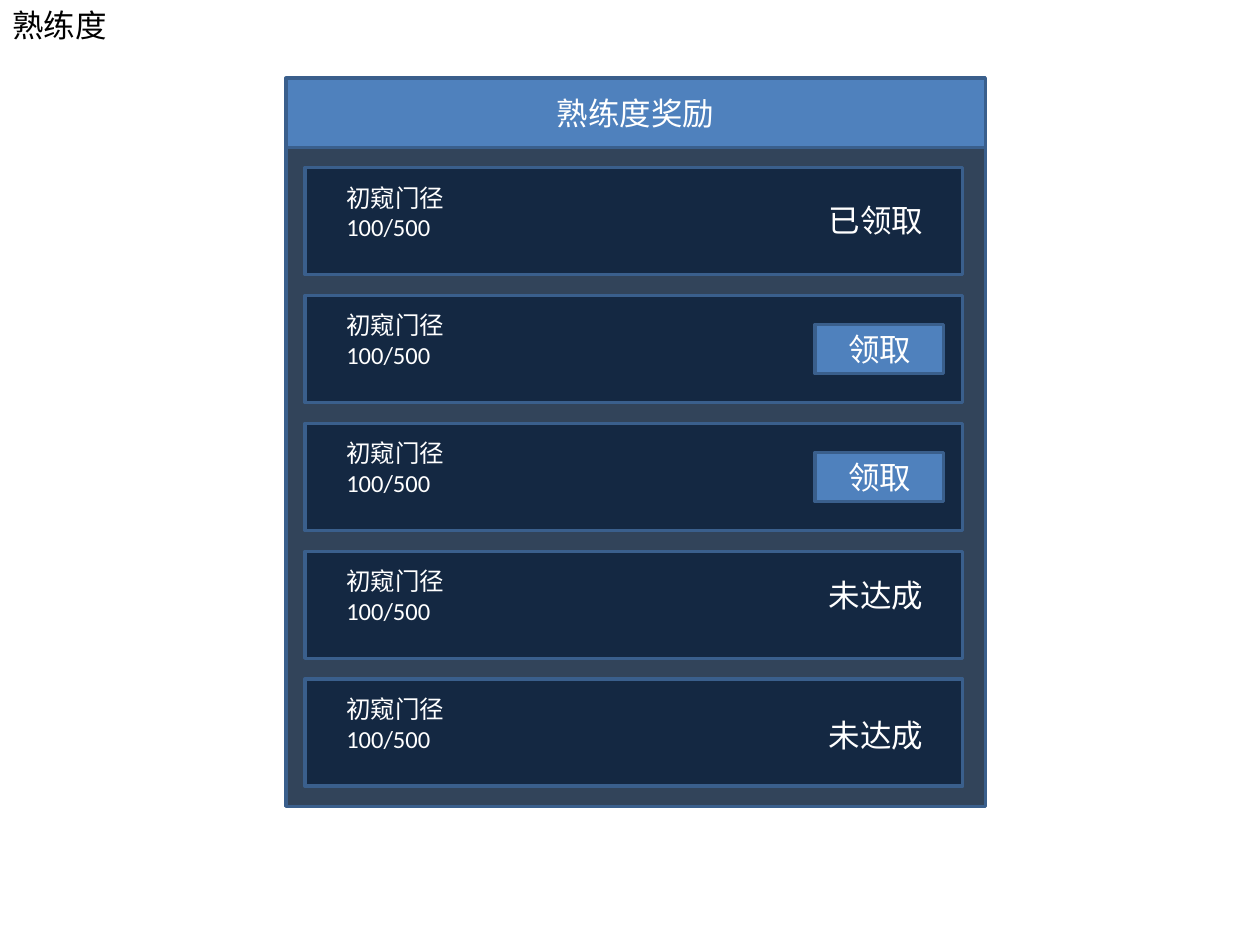
"""Build the proficiency reward panel slide."""
from dataclasses import dataclass
from typing import Optional

import lxml.etree
import pptx
import pptx.dml.color
import pptx.enum.shapes
import pptx.enum.text
import pptx.oxml.ns
import pptx.util

Inches = pptx.util.Inches
RGB = pptx.dml.color.RGBColor
Align = pptx.enum.text.PP_ALIGN
Anchor = pptx.enum.text.MSO_ANCHOR


@dataclass(frozen=True)
class Theme:
    font: str = "Calibri"
    accent: str = "4F81BD"
    border: str = "3A5F8C"
    panel: str = "0F243E"
    light: str = "FFFFFF"
    dark: str = "000000"
    panel_opacity: int = 85
    border_width: float = 2
    heading_size: int = 18
    label_size: int = 14


@dataclass(frozen=True)
class Box:
    left: float
    top: float
    width: float
    height: float

    def lengths(self) -> list:
        return [Inches(v) for v in (self.left, self.top, self.width, self.height)]


@dataclass(frozen=True)
class Reward:
    status: str
    status_offset: float
    claimable: bool = False


THEME = Theme()
REWARDS = [
    Reward("已领取", 0.22),
    Reward("领取", 0.23, claimable=True),
    Reward("领取", 0.23, claimable=True),
    Reward("未达成", 0.15),
    Reward("未达成", 0.24),
]
ROW_LEFT, ROW_TOP, ROW_PITCH = 2.42, 1.33, 1.015
PANEL_LEFT, PANEL_WIDTH = 2.27, 5.55


def style_text(tf, text: str, size: int, color: str, align: Align) -> None:
    tf.text = text
    p = tf.paragraphs[0]
    p.alignment = align
    p.font.name = THEME.font
    p.font.size = pptx.util.Pt(size)
    p.font.color.rgb = RGB.from_string(color)


def add_rect(slide, box: Box, fill: str, opacity: Optional[int] = None, text: str = "") -> None:
    sp = slide.shapes.add_shape(pptx.enum.shapes.MSO_SHAPE.RECTANGLE, *box.lengths())
    sp.shadow.inherit = False
    sp.fill.solid()
    sp.fill.fore_color.rgb = RGB.from_string(fill)
    sp.line.color.rgb = RGB.from_string(THEME.border)
    sp.line.width = pptx.util.Pt(THEME.border_width)
    if opacity is not None:
        qn = pptx.oxml.ns.qn
        color = sp.fill._xPr.find(qn("a:solidFill")).find(qn("a:srgbClr"))
        lxml.etree.SubElement(color, qn("a:alpha"), val=str(opacity * 1000))
    if text:
        sp.text_frame.vertical_anchor = Anchor.MIDDLE
        style_text(sp.text_frame, text, THEME.heading_size, THEME.light, Align.CENTER)


def add_label(slide, box: Box, text: str, size: int, color: str, wrap: bool = False) -> None:
    tf = slide.shapes.add_textbox(*box.lengths()).text_frame
    tf.word_wrap = wrap
    tf.vertical_anchor = Anchor.TOP
    style_text(tf, text, size, color, Align.LEFT)


def add_reward(slide, reward: Reward, top: float) -> None:
    add_rect(slide, Box(ROW_LEFT, top, 5.22, 0.85), THEME.panel, THEME.panel_opacity)
    add_label(slide, Box(ROW_LEFT + 0.23, top + 0.07, 1.84, 0.34),
              "初窥门径\v100/500", THEME.label_size, THEME.light, wrap=True)
    status_top = top + reward.status_offset
    if reward.claimable:
        add_rect(slide, Box(6.47, status_top, 1.02, 0.39), THEME.accent, text=reward.status)
    else:
        add_label(slide, Box(6.48, status_top, 0.96, 0.4),
                  reward.status, THEME.heading_size, THEME.light)


def main() -> None:
    prs = pptx.Presentation()
    prs.slide_width, prs.slide_height = Inches(10), Inches(7.5)
    slide = prs.slides.add_slide(prs.slide_layouts[6])
    add_rect(slide, Box(PANEL_LEFT, 1.17, PANEL_WIDTH, 5.23), THEME.panel, THEME.panel_opacity)
    for i, reward in enumerate(REWARDS):
        add_reward(slide, reward, ROW_TOP + i * ROW_PITCH)
    add_label(slide, Box(0, 0, 0.96, 0.4), "熟练度", THEME.heading_size, THEME.dark)
    add_rect(slide, Box(PANEL_LEFT, 0.62, PANEL_WIDTH, 0.55), THEME.accent, text="熟练度奖励")
    prs.save("out.pptx")


if __name__ == "__main__":
    main()
